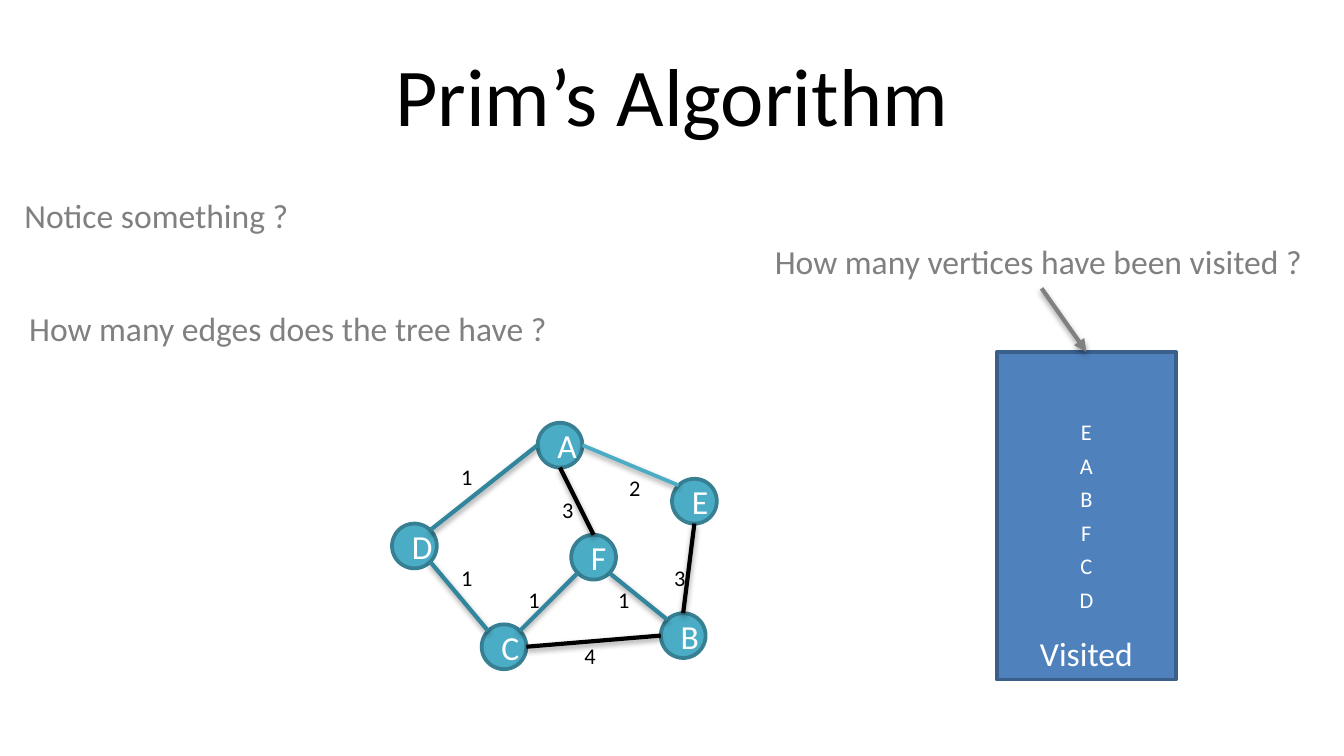
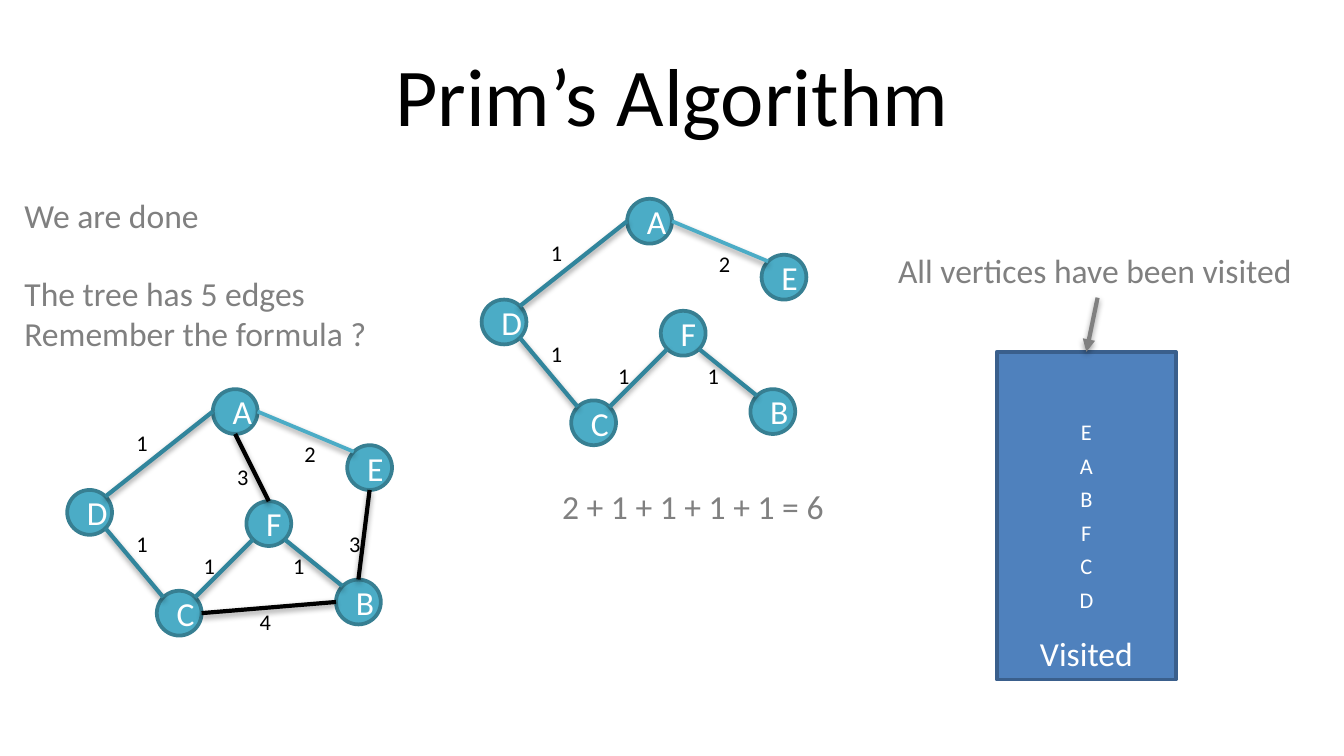
"""Build two slides on Prim's algorithm: the weighted graph and its spanning tree."""
from math import cos, radians, sin

from lxml.etree import SubElement
from pptx import Presentation
from pptx.dml.color import RGBColor
from pptx.enum.shapes import MSO_CONNECTOR as CXN, MSO_SHAPE as SHAPE
from pptx.enum.text import MSO_ANCHOR as ANCHOR, MSO_AUTO_SIZE as AUTO, PP_ALIGN as ALIGN
from pptx.oxml.ns import qn
from pptx.util import Pt

COLORS = {
    "black": "000000", "white": "FFFFFF", "gray": "808080",
    "node": "4BACC6", "node_line": "377F92", "tree": "31859C",
    "box": "4F81BD", "box_line": "3A5F8C",
}
FONT = "Calibri"
NODE = 24
NODES = {"A": (0, 0), "C": (-30, 108), "B": (66, 102),
         "D": (-78, 54), "E": (72, 30), "F": (18, 60)}
RIGHT, LOW_RIGHT, BOTTOM, LOW_LEFT, LEFT, UP_LEFT, TOP, UP_RIGHT = range(0, 360, 45)
TREE_EDGES = [
    ("A", LEFT, "D", UP_RIGHT, "tree", 2.25, "1", (-48, 18)),
    ("C", UP_LEFT, "D", LOW_RIGHT, "tree", 2.25, "1", (-48, 72)),
    ("C", UP_RIGHT, "F", LOW_LEFT, "tree", 2.25, "1", (-12, 84)),
    ("B", UP_LEFT, "F", LOW_RIGHT, "tree", 2.25, "1", (36, 84)),
    ("E", UP_LEFT, "A", RIGHT, "node", 2, "2", (42, 24)),
]
OTHER_EDGES = [
    ("E", BOTTOM, "B", TOP, "black", 2.25, "3", (66, 72)),
    ("B", LEFT, "C", RIGHT, "black", 2.25, "4", (18, 114)),
    ("A", BOTTOM, "F", TOP, "black", 2.25, "3", (6, 36)),
]


def rgb(name):
    return RGBColor.from_string(COLORS[name])


def write(tf, text, size=18, color="black", align=ALIGN.LEFT, anchor=ANCHOR.TOP):
    tf.vertical_anchor = anchor
    for i, line in enumerate(text.split("\n")):
        p = tf.add_paragraph() if i else tf.paragraphs[0]
        p.alignment = align
        r = p.add_run()
        r.text = line
        r.font.name = FONT
        r.font.size = Pt(size)
        r.font.color.rgb = rgb(color)


class Deck:
    def __init__(self):
        self.prs = Presentation()
        self.prs.slide_width, self.prs.slide_height = Pt(720), Pt(405)
        self.s = None

    def slide(self, title):
        self.s = self.prs.slides.add_slide(self.prs.slide_layouts[5])
        sp = self.s.shapes.title
        sp.left, sp.top, sp.width, sp.height = Pt(36), Pt(16.2), Pt(648), Pt(67.5)
        write(sp.text_frame, title, size=44, align=ALIGN.CENTER, anchor=ANCHOR.MIDDLE)

    def shape(self, kind, x, y, w, h, text, fill, line, anchor):
        sp = self.s.shapes.add_shape(kind, Pt(x), Pt(y), Pt(w), Pt(h))
        sp.shadow.inherit = False
        sp.fill.solid()
        sp.fill.fore_color.rgb = rgb(fill)
        sp.line.color.rgb = rgb(line)
        sp.line.width = Pt(2)
        write(sp.text_frame, text, color="white", align=ALIGN.CENTER, anchor=anchor)
        return sp

    def text(self, x, y, w, h, text, wrap=False, **fmt):
        tf = self.s.shapes.add_textbox(Pt(x), Pt(y), Pt(w), Pt(h)).text_frame
        tf.word_wrap = wrap
        tf.auto_size = AUTO.SHAPE_TO_FIT_TEXT
        write(tf, text, **fmt)

    def note(self, x, y, w, text, h=29):
        self.text(x, y, w, h, text, color="gray")

    def line(self, start, end, color, width=2.25, arrow=False):
        c = self.s.shapes.add_connector(CXN.STRAIGHT, *(Pt(v) for v in (*start, *end)))
        c.line.color.rgb = rgb(color)
        c.line.width = Pt(width)
        sp_pr = c._element.spPr
        if arrow:
            SubElement(sp_pr.find(qn("a:ln")), qn("a:tailEnd"), type="triangle")
        effects = SubElement(sp_pr, qn("a:effectLst"))
        shadow = SubElement(effects, qn("a:outerShdw"), blurRad="40000", dist="20000",
                            dir="5400000", rotWithShape="0")
        tint = SubElement(shadow, qn("a:srgbClr"), val=COLORS["black"])
        SubElement(tint, qn("a:alpha"), val="38000")
        return c

    def graph(self, x, y, edges):
        def rim(name, angle):
            dx, dy = NODES[name]
            a, radius = radians(angle), NODE / 2
            return (x + dx + radius * (1 + cos(a)), y + dy + radius * (1 + sin(a)))

        for name, (dx, dy) in NODES.items():
            self.shape(SHAPE.OVAL, x + dx, y + dy, NODE, NODE, name,
                       "node", "node_line", ANCHOR.MIDDLE)
        for a, a_side, b, b_side, color, width, _, _ in edges:
            self.line(rim(a, a_side), rim(b, b_side), color, width)
        for *_, weight, (dx, dy) in edges:
            self.text(x + dx, y + dy, 21, 21.8, weight, size=12)

    def visited(self, arrow_start):
        box = self.shape(SHAPE.RECTANGLE, 534, 188.5, 96, 175.5, "Visited",
                         "box", "box_line", ANCHOR.BOTTOM)
        for i, name in enumerate("EABFCD"):
            self.text(570, 220.5 + 18 * i, 24, 21.8, name, wrap=True,
                      size=12, color="white", align=ALIGN.CENTER)
        self.line(arrow_start, (582, 188.5), "gray", arrow=True).end_connect(box, 0)


def main():
    deck = Deck()

    deck.slide("Prim’s Algorithm")
    deck.visited((558, 154.5))
    deck.graph(288, 226.5, TREE_EDGES + OTHER_EDGES)
    deck.note(6, 101, 157.5, "Notice something ?")
    deck.note(408, 125.5, 301, "How many vertices have been visited ?")
    deck.note(8.5, 161.5, 295, "How many edges does the tree have ?")

    deck.slide("Prim’s Algorithm")
    deck.visited((588, 159.5))
    deck.graph(114, 208.5, TREE_EDGES + OTHER_EDGES)
    deck.note(6, 101, 109.5, "We are done")
    deck.note(474, 130.5, 228, "All vertices have been visited")
    deck.note(6, 142.5, 200, "The tree has 5 edges\nRemember the formula ?", h=51)
    deck.graph(336, 106.5, TREE_EDGES)
    deck.note(294, 256.5, 157, "2 + 1 + 1 + 1 + 1 = 6")

    deck.prs.save("out.pptx")


if __name__ == "__main__":
    main()
